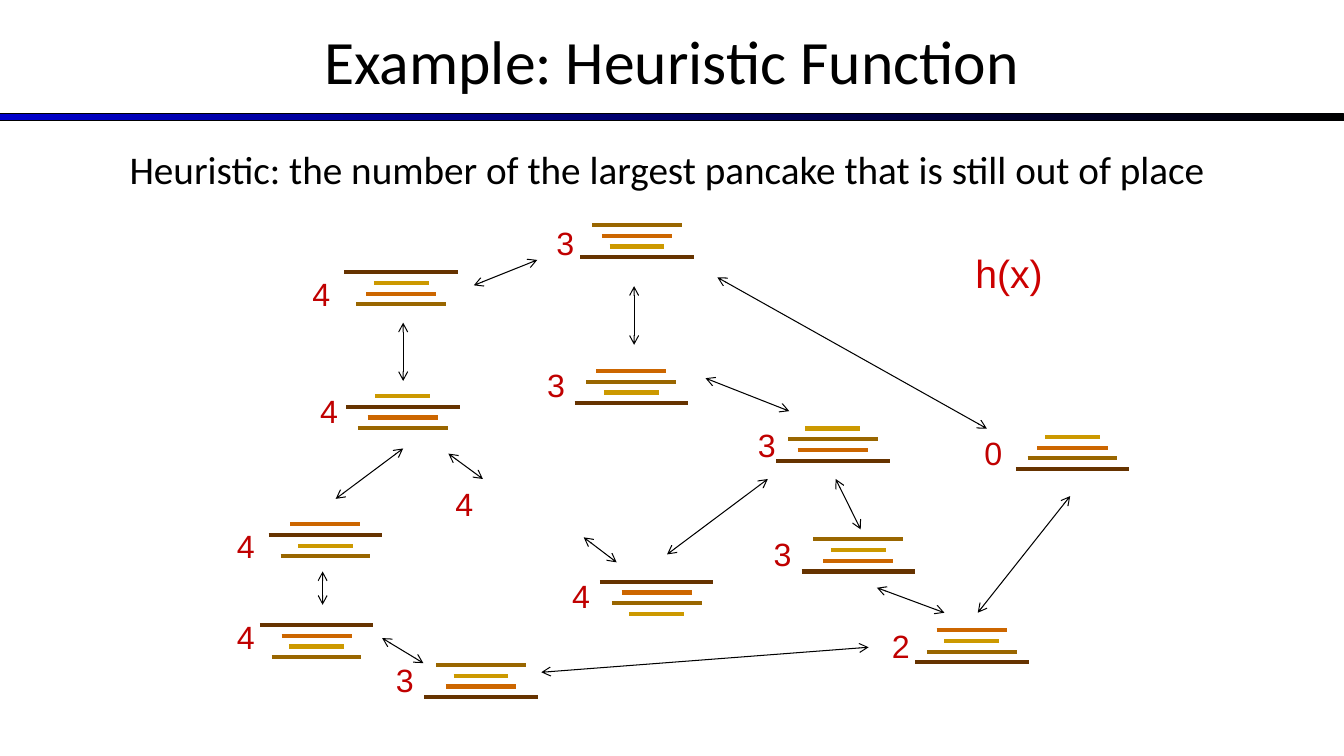
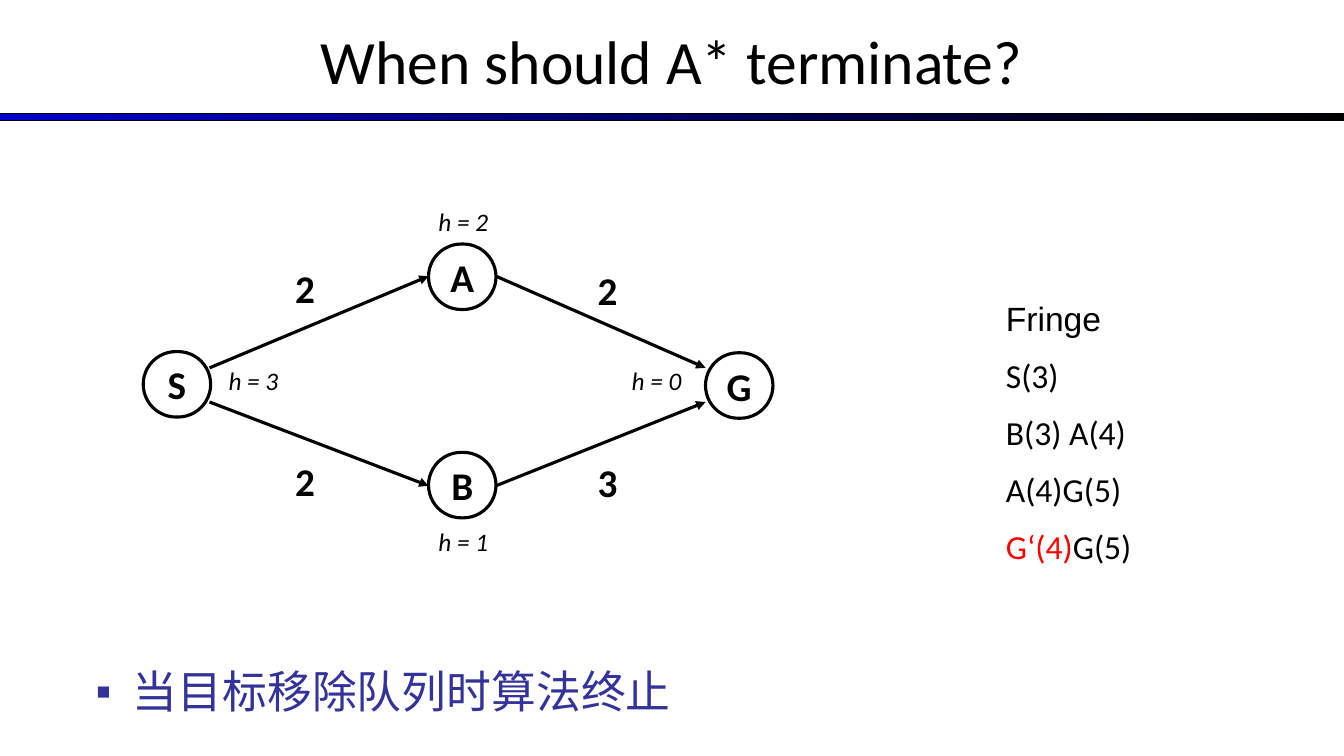
import pptx
import pptx.util
import pptx.dml.color
import pptx.enum.shapes
import pptx.enum.text
import pptx.oxml
import pptx.oxml.ns

Cm, Pt = pptx.util.Cm, pptx.util.Pt
rgb = pptx.dml.color.RGBColor.from_string
ALIGN = pptx.enum.text.PP_ALIGN
MIDDLE = pptx.enum.text.MSO_ANCHOR.MIDDLE
SHAPES = pptx.enum.shapes.MSO_SHAPE

COLORS = {
    "ink": "000000", "band": "0000CC", "estimate": "C00000", "h": "CC0000",
    "goal": "FF0000", "bullet": "333399",
}
# Pancakes by number: colour and width in cm
PANCAKES = {1: ("CC9900", 1.38), 2: ("CC6600", 1.77),
            3: ("996600", 2.26), 4: ("663300", 2.86)}
PANCAKE_GAP = 0.27


def add_text(slide, box, words, size, color="ink", font="Calibri",
             align=ALIGN.LEFT, anchor=None, bold=False, italic=False):
    frame = slide.shapes.add_textbox(*map(Cm, box)).text_frame
    frame.word_wrap = True
    frame.vertical_anchor = anchor
    frame.text = words
    for paragraph in frame.paragraphs:
        paragraph.alignment = align
        for run in paragraph.runs:
            run.font.size = Pt(size)
            run.font.name = font
            run.font.bold = bold
            run.font.italic = italic
            run.font.color.rgb = rgb(COLORS[color])
    return frame


def add_line(slide, ends, color, width, head=None, tail=None):
    line = slide.shapes.add_connector(
        pptx.enum.shapes.MSO_CONNECTOR.STRAIGHT, *map(Cm, ends))
    line.line.color.rgb = rgb(color)
    line.line.width = Pt(width)
    outline = line.line._get_or_add_ln()
    for tag, kind in (("a:headEnd", head), ("a:tailEnd", tail)):
        if kind:
            end = pptx.oxml.ns.qn(tag)
            outline.append(outline.makeelement(end, {"type": kind}))
    properties = line._element.spPr
    properties.append(properties.makeelement(pptx.oxml.ns.qn("a:effectLst"), {}))


deck = pptx.Presentation()
deck.slide_width, deck.slide_height = Cm(33.87), Cm(19.05)

# Both slides: gradient band and title
pages = []
for heading in ("Example: Heuristic Function", "When should A* terminate?"):
    page = deck.slides.add_slide(deck.slide_layouts[6])
    band = page.shapes.add_shape(
        SHAPES.RECTANGLE, Cm(0), Cm(2.87), deck.slide_width, Cm(0.18))
    band.shadow.inherit = False
    band.fill.gradient()
    band.fill.gradient_angle = 0
    for stop, name in zip(band.fill.gradient_stops, ("band", "ink")):
        stop.color.rgb = rgb(COLORS[name])
    band.line.color.rgb = rgb(COLORS["ink"])
    band.line.width = Pt(0.75)
    add_text(page, (0, -0.08, 33.87, 3.18), heading, 44,
             align=ALIGN.CENTER, anchor=MIDDLE)
    pages.append(page)
heuristic_page, terminate_page = pages

# Heuristic: definition
add_text(heuristic_page, (-0.13, 3.53, 33.87, 1.45),
         "Heuristic: the number of the largest pancake that is still out of place",
         28, align=ALIGN.CENTER)
add_text(heuristic_page, (24.33, 6.15, 3.18, 1.45), "h(x)", 28, "h", "Arial")

# Stacks: order from the top, centre, top, and place of the estimate
stacks = [
    ((4, 1, 2, 3), 10.11, 6.86, 7.62, 6.78),
    ((1, 4, 2, 3), 10.15, 9.98, 7.82, 9.73),
    ((3, 2, 1, 4), 16.05, 5.67, 13.77, 5.51),
    ((2, 4, 1, 3), 8.2, 13.21, 5.72, 13.13),
    ((1, 2, 3, 4), 27.03, 11.01, 24.56, 10.8),
    ((2, 3, 1, 4), 15.91, 9.35, 13.54, 9.09),
    ((4, 2, 3, 1), 16.55, 14.66, 14.17, 14.4),
    ((4, 2, 1, 3), 7.98, 15.75, 5.72, 15.44),
    ((3, 1, 2, 4), 12.12, 16.76, 9.73, 16.51),
    ((1, 3, 2, 4), 20.99, 10.8, 18.85, 10.59),
    ((2, 1, 3, 4), 24.49, 15.88, 22.23, 15.67),
    ((3, 1, 2, 4), 21.63, 13.59, 19.25, 13.34),
]
estimates = [(4, 11.23, 12.07)]  # state whose stack is not drawn
for order, center, top, left, label_top in stacks:
    for level, pancake in enumerate(order):
        color, width = PANCAKES[pancake]
        y = top + level * PANCAKE_GAP
        add_line(heuristic_page, (center - width / 2, y, center + width / 2, y),
                 color, 3)
    misplaced = [p for place, p in enumerate(order, 1) if p != place]
    estimates.append((max(misplaced, default=0), left, label_top))
for estimate, left, top in estimates:
    add_text(heuristic_page, (left, top, 0.84, 1.24), str(estimate), 23,
             "estimate", "Arial")

# Moves between stacks
moves = [
    (13.54, 6.55, 11.94, 7.19), (10.16, 9.6, 10.16, 8.13),
    (8.46, 12.57, 10.16, 11.3), (12.17, 12.07, 11.3, 11.43),
    (8.13, 15.24, 8.13, 14.4), (10.67, 16.71, 9.63, 16.08),
    (21.89, 16.31, 13.64, 16.94), (15.54, 14.17, 14.71, 13.54),
    (19.35, 12.07, 16.81, 13.97), (17.78, 9.53, 19.89, 10.36),
    (15.98, 7.21, 15.98, 8.69), (24.87, 10.8, 18.08, 6.99),
    (21.06, 12.07, 21.69, 13.34), (22.1, 14.81, 23.8, 15.44),
    (24.64, 15.44, 26.97, 12.5),
]
for move in moves:
    add_line(heuristic_page, move, COLORS["ink"], 0.75, "arrow", "arrow")

# Search graph: nodes with their estimates
nodes = [
    ("S", 3.61, 8.86, "h = 3", 5.51, 9.09),
    ("A", 10.8, 6.15, "h = 2", 10.8, 5.08),
    ("B", 10.8, 11.4, "h = 1", 10.8, 13.13),
    ("G", 17.78, 8.89, "h = 0", 15.67, 9.09),
]
for name, left, top, estimate, label_left, label_top in nodes:
    node = terminate_page.shapes.add_shape(
        SHAPES.ROUNDED_RECTANGLE, Cm(left), Cm(top), Cm(1.7), Cm(1.65))
    node.adjustments[0] = 0.5
    node.shadow.inherit = False
    node.fill.background()
    node.line.color.rgb = rgb(COLORS["ink"])
    node.line.width = Pt(2.25)
    node.text_frame.text = name
    node.text_frame.word_wrap = False
    node.text_frame.vertical_anchor = MIDDLE
    letter = node.text_frame.paragraphs[0]
    letter.alignment = ALIGN.CENTER
    letter_font = letter.runs[0].font
    letter_font.name, letter_font.size, letter_font.bold = "Calibri", Pt(28), True
    letter_font.color.rgb = rgb(COLORS["ink"])
    add_text(terminate_page, (label_left, label_top, 2.54, 1.02), estimate, 18,
             italic=True)

# Search graph: edges with their costs
edges = [
    ((5.28, 9.27, 10.8, 6.96), "2", 7.19, 6.53),
    ((12.5, 6.96, 17.78, 9.27), "2", 14.81, 6.58),
    ((5.28, 10.13, 10.8, 12.24), "2", 7.19, 11.4),
    ((12.5, 12.24, 17.78, 10.13), "3", 14.81, 11.43),
]
for ends, cost, left, top in edges:
    add_line(terminate_page, ends, COLORS["ink"], 2.25, tail="triangle")
    add_text(terminate_page, (left, top, 1.27, 1.45), cost, 28, bold=True)

# Fringe after each step
fringe = add_text(terminate_page, (25.1, 7.37, 3.71, 7.44),
                  "Fringe\nS(3)\nB(3) A(4)\nA(4)G(5)\nG‘(4)", 24)
fringe.paragraphs[0].runs[0].font.name = "Arial"
for step in fringe.paragraphs[1:]:
    step.space_before = Pt(12)
last_step = fringe.paragraphs[-1]
last_step.runs[0].font.color.rgb = rgb(COLORS["goal"])
remaining = last_step.add_run()
remaining.text = "G(5)"
remaining.font.name, remaining.font.size = "Calibri", Pt(24)
remaining.font.color.rgb = rgb(COLORS["ink"])

# Conclusion with a square bullet
conclusion = add_text(terminate_page, (2.16, 16.4, 27.03, 2), "当目标移除队列时算法终止",
                      32, "bullet", anchor=MIDDLE)
indent = conclusion.paragraphs[0]._p.get_or_add_pPr()
indent.set("marL", str(Cm(0.94)))
indent.set("indent", str(-Cm(0.94)))
for tag, key, value in (("a:buFont", "typeface", "Arial"), ("a:buChar", "char", "▪")):
    indent.append(indent.makeelement(pptx.oxml.ns.qn(tag), {key: value}))

deck.save("out.pptx")
